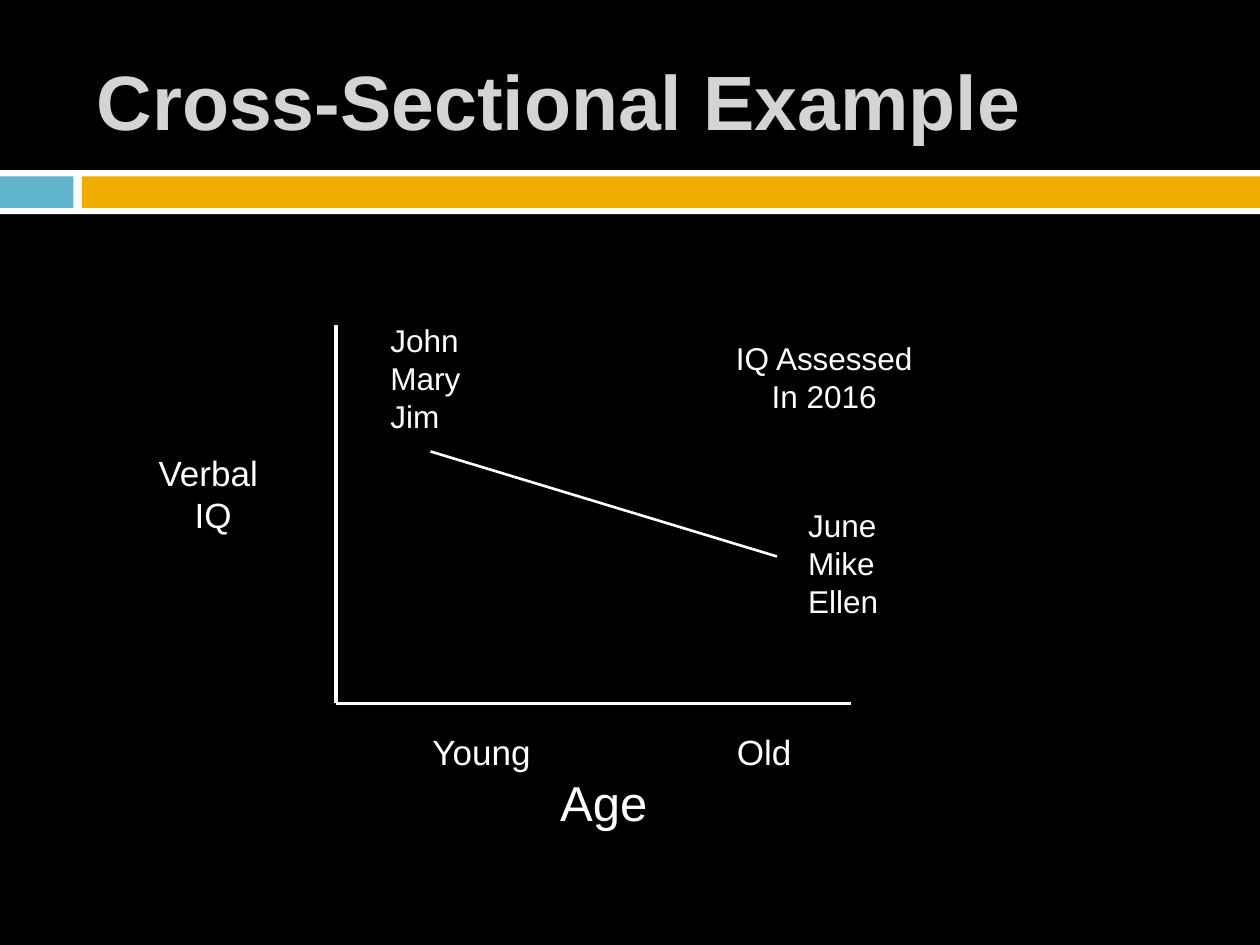
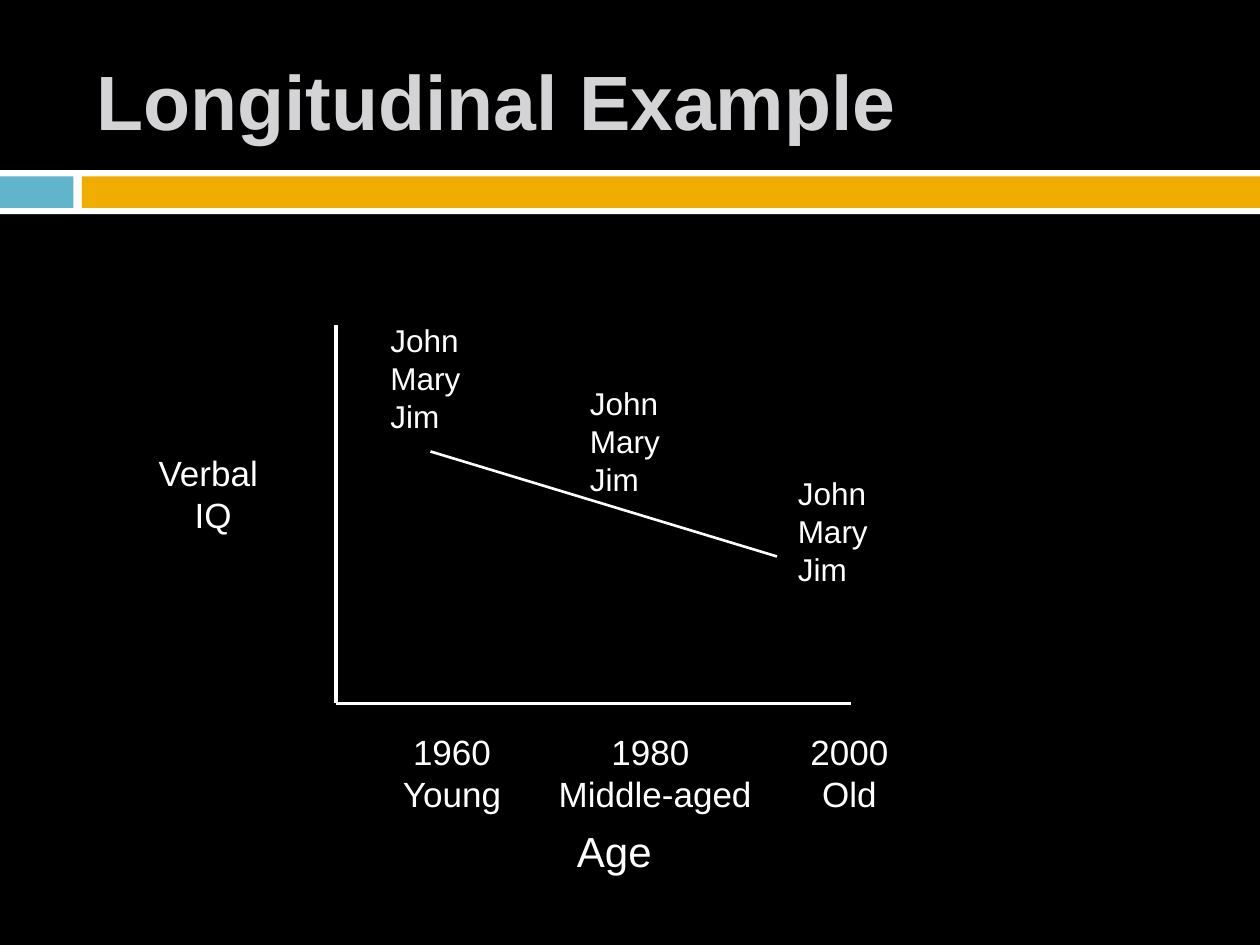
from dataclasses import dataclass
from typing import NamedTuple, Optional

import pptx
import pptx.dml.color
import pptx.enum.shapes
import pptx.enum.text
import pptx.oxml.ns
import pptx.presentation
import pptx.shapes.autoshape
import pptx.slide
import pptx.util
from lxml import etree

BLACK = pptx.dml.color.RGBColor(0x00, 0x00, 0x00)
WHITE = pptx.dml.color.RGBColor(0xFF, 0xFF, 0xFF)
BLUE = pptx.dml.color.RGBColor(0x60, 0xB5, 0xCC)
AMBER = pptx.dml.color.RGBColor(0xF0, 0xAD, 0x00)
TITLE_GREY = pptx.dml.color.RGBColor(0xD4, 0xD4, 0xD6)
FONT = "Arial"

# The slide is a grid of 120 columns by 90 rows, 12 units to the inch.
COLUMNS, ROWS, UNITS_PER_INCH = 120, 90, 12
TITLE_ONLY_LAYOUT = 5
LEFT = pptx.enum.text.PP_ALIGN.LEFT
CENTER = pptx.enum.text.PP_ALIGN.CENTER


class Area(NamedTuple):
    left: float
    top: float
    width: float
    height: float


class Band(NamedTuple):
    area: Area
    color: pptx.dml.color.RGBColor


class Line(NamedTuple):
    begin: tuple[float, float]
    end: tuple[float, float]
    weight: float


@dataclass(frozen=True)
class Label:
    """Text on the grid; without a height, the box fits its unwrapped lines."""
    lines: tuple[str, ...]
    left: float
    top: float
    width: float
    size: int
    alignment: pptx.enum.text.PP_ALIGN = LEFT
    height: Optional[float] = None
    grows: bool = True

    @property
    def area(self) -> Area:
        fitted = UNITS_PER_INCH * (0.1 + len(self.lines) * self.size * 1.2 / 72)
        return Area(self.left, self.top, self.width, self.height or fitted)


@dataclass(frozen=True)
class ExampleSlide:
    title: str
    labels: tuple[Label, ...]


TITLE_AREA = Area(8, 3, 107, 13)
BANDS = (
    Band(Area(0, 16.2, COLUMNS, 4.2), WHITE),
    Band(Area(0, 16.8, 7, 3), BLUE),
    Band(Area(7.8, 16.8, COLUMNS - 7.8, 3), AMBER),
)

ORIGIN = (32, 67)
GRAPH_LINES = (
    Line((32, 31), ORIGIN, 2.25),
    Line(ORIGIN, (81, 67), 2.25),
    Line((41, 43), (74, 53), 1.5),
)
AGE_ROW = 69
PEOPLE = ("John", "Mary", "Jim")
SHARED_LABELS = (
    Label(("Verbal ", "IQ"), 13.8, 42.4, 13, 20, CENTER),
    Label(PEOPLE, 36, 30, 9.1, 18),
)

EXAMPLES = (
    ExampleSlide("Cross-Sectional Example", (
        Label(("Age",), 47, 73, 21, 28, CENTER, height=7, grows=False),
        Label(("Young",), 40, AGE_ROW, 12.1, 20),
        Label(("Old",), 69, AGE_ROW, 7.6, 20),
        Label(("IQ Assessed", "In 2016"), 68.8, 31.7, 19.4, 18, CENTER),
        Label(("June", "Mike", "Ellen"), 75.8, 47.6, 9.1, 18),
    )),
    ExampleSlide("Longitudinal Example", (
        Label(("Age",), 48, 78, 21, 24, CENTER, height=2, grows=False),
        Label(("1960", "Young"), 37, AGE_ROW, 12.1, 20, CENTER),
        Label(("1980 ", "Middle-aged"), 52, AGE_ROW, 20.8, 20, CENTER),
        Label(("2000", "Old"), 76, AGE_ROW, 9.8, 20, CENTER),
        Label(PEOPLE, 55, 36, 12, 18, height=15.7),
        Label(PEOPLE, 74.8, 44.6, 10.2, 18, height=15.7),
    )),
)


def grid(units: float) -> pptx.util.Length:
    return pptx.util.Inches(units / UNITS_PER_INCH)


def place(area: Area) -> list[pptx.util.Length]:
    return [grid(units) for units in area]


def move_bands_to_layout(slide: pptx.slide.Slide) -> None:
    """Draw the bands with the slide's shape tools and keep them on its layout."""
    for position, band in enumerate(BANDS, start=2):
        shape = slide.shapes.add_shape(
            pptx.enum.shapes.MSO_SHAPE.RECTANGLE, *place(band.area))
        shape.shadow.inherit = False
        shape.fill.solid()
        shape.fill.fore_color.rgb = band.color
        shape.line.fill.background()
        slide.slide_layout.shapes.element.insert(position, shape.element)


def set_title(slide: pptx.slide.Slide, text: str) -> None:
    title = slide.shapes.title
    title.left, title.top, title.width, title.height = place(TITLE_AREA)
    title.text = text
    title.text_frame.vertical_anchor = pptx.enum.text.MSO_ANCHOR.MIDDLE
    title.text_frame.auto_size = pptx.enum.text.MSO_AUTO_SIZE.NONE
    paragraph = title.text_frame.paragraphs[0]
    paragraph.alignment = LEFT
    paragraph.font.name = FONT
    paragraph.font.size = pptx.util.Pt(44)
    paragraph.font.bold = True
    paragraph.font.color.rgb = TITLE_GREY


def add_line(slide: pptx.slide.Slide, line: Line) -> None:
    connector = slide.shapes.add_connector(
        pptx.enum.shapes.MSO_CONNECTOR.STRAIGHT,
        *(grid(units) for units in line.begin + line.end))
    connector.line.color.rgb = WHITE
    connector.line.width = pptx.util.Pt(line.weight)
    etree.SubElement(connector.element.spPr, pptx.oxml.ns.qn("a:effectLst"))


def add_label(slide: pptx.slide.Slide, label: Label) -> None:
    text_frame = slide.shapes.add_textbox(*place(label.area)).text_frame
    text_frame.text = "\n".join(label.lines)
    text_frame.word_wrap = label.height is not None
    auto_size = pptx.enum.text.MSO_AUTO_SIZE
    text_frame.auto_size = (
        auto_size.SHAPE_TO_FIT_TEXT if label.grows else auto_size.NONE)
    for paragraph in text_frame.paragraphs:
        paragraph.alignment = label.alignment
        paragraph.font.name = FONT
        paragraph.font.size = pptx.util.Pt(label.size)
        paragraph.font.color.rgb = WHITE


def add_example(presentation: pptx.presentation.Presentation,
                example: ExampleSlide) -> pptx.slide.Slide:
    slide = presentation.slides.add_slide(
        presentation.slide_layouts[TITLE_ONLY_LAYOUT])
    set_title(slide, example.title)
    for line in GRAPH_LINES:
        add_line(slide, line)
    for label in SHARED_LABELS + example.labels:
        add_label(slide, label)
    return slide


def main() -> None:
    presentation = pptx.Presentation()
    presentation.slide_width = grid(COLUMNS)
    presentation.slide_height = grid(ROWS)
    background = presentation.slide_master.background.fill
    background.solid()
    background.fore_color.rgb = BLACK
    slides = [add_example(presentation, example) for example in EXAMPLES]
    move_bands_to_layout(slides[0])
    presentation.save("out.pptx")


if __name__ == "__main__":
    main()
